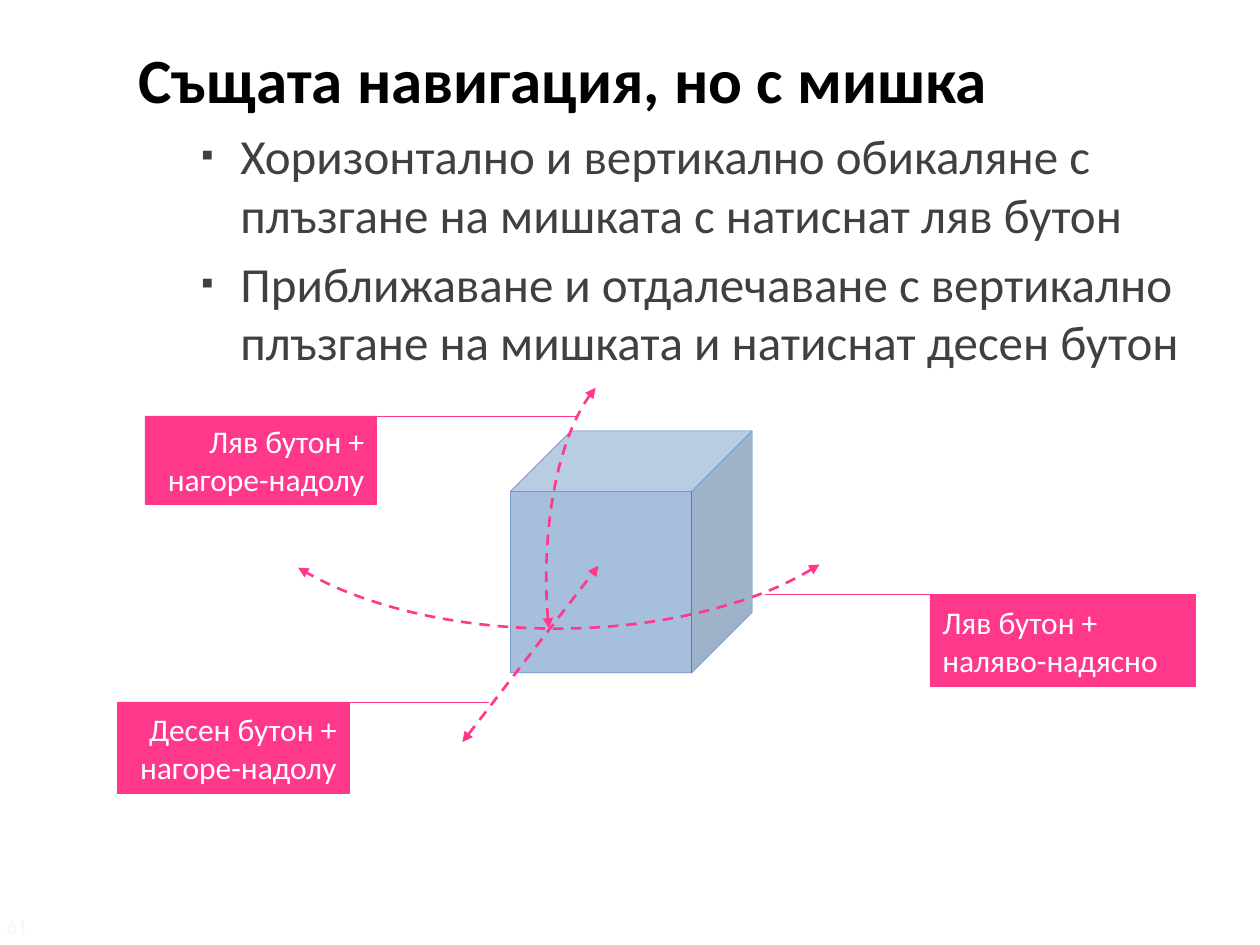
"""Build a slide about navigating around a cube with the mouse."""
from lxml import etree
from pptx import Presentation
from pptx.dml.color import RGBColor
from pptx.enum.dml import MSO_LINE
from pptx.enum.shapes import MSO_CONNECTOR, MSO_SHAPE
from pptx.enum.text import MSO_ANCHOR, PP_ALIGN
from pptx.oxml.ns import qn
from pptx.util import Inches, Pt

DASH = MSO_LINE.DASH
STRAIGHT = MSO_CONNECTOR.STRAIGHT
ARC, CUBE, RECT = MSO_SHAPE.ARC, MSO_SHAPE.CUBE, MSO_SHAPE.RECTANGLE
MIDDLE = MSO_ANCHOR.MIDDLE
LEFT, RIGHT = PP_ALIGN.LEFT, PP_ALIGN.RIGHT

BLACK = RGBColor(0x00, 0x00, 0x00)
GRAY = RGBColor(0x40, 0x40, 0x40)
WHITE = RGBColor(0xFF, 0xFF, 0xFF)
FAINT = RGBColor(0xF8, 0xF8, 0xF2)
PINK = RGBColor(0xFF, 0x38, 0x8C)
BLUE = RGBColor(0x4F, 0x81, 0xBD)


def add_text(p, text, color, **font):
    r = p.add_run()
    r.text = text
    r.font.color.rgb = color
    for name, value in {"name": "Calibri", **font}.items():
        setattr(r.font, name, value)


def style_line(sp, color, width, arrows=False):
    sp.line.color.rgb = color
    sp.line.width = Pt(width)
    if arrows:
        sp.line.dash_style = DASH
        ln = sp.line._get_or_add_ln()
        for end in ("a:headEnd", "a:tailEnd"):
            etree.SubElement(ln, qn(end), type="triangle")
    etree.SubElement(sp._element.spPr, qn("a:effectLst"))


prs = Presentation()
prs.slide_width, prs.slide_height = Inches(10), Inches(7.5)
s = prs.slides.add_slide(prs.slide_layouts[6])

tf = s.shapes.add_textbox(Inches(1), Inches(0.27), Inches(8.92), Inches(7.15)).text_frame
tf.word_wrap = True
add_text(tf.paragraphs[0], "Същата навигация, но с мишка", BLACK, size=Pt(36), bold=True)
for text in (
    "Хоризонтално и вертикално обикаляне с плъзгане на мишката с натиснат ляв бутон",
    "Приближаване и отдалечаване с вертикално плъзгане на мишката и натиснат десен бутон",
):
    p = tf.add_paragraph()
    p.space_before = Pt(5.6)
    pPr = p._p.get_or_add_pPr()
    pPr.set("marL", str(Inches(0.81)))
    pPr.set("indent", str(Inches(-0.31)))
    etree.SubElement(pPr, qn("a:buSzPct"), val="70000")
    etree.SubElement(pPr, qn("a:buFont"), typeface="Calibri")
    etree.SubElement(pPr, qn("a:buChar"), char="▪")
    add_text(p, text, GRAY, size=Pt(28))

callouts = [
    ("Ляв бутон + наляво-надясно", 7.38, 4.72, 2.11, 0.73, LEFT, 9.49, 6.07),
    ("Ляв бутон + нагоре-надолу", 1.15, 3.3, 1.84, 0.7, RIGHT, 1.15, 4.58),
    ("Десен бутон + нагоре-надолу", 0.93, 5.57, 1.84, 0.73, RIGHT, 0.93, 3.88),
]
arcs = [
    (1.76, 2.33, 5.31, 2.66, 0, (12.86, 94.54)),
    (3.36, 3.89, 3.33, 1.38, 90, (35.19, 101.27)),
]

cube = s.shapes.add_shape(CUBE, Inches(4.05), Inches(3.42), Inches(1.92), Inches(1.92))
cube.fill.solid()
cube.fill.fore_color.rgb = BLUE
fill = cube._element.spPr.find(qn("a:solidFill"))
etree.SubElement(fill[0], qn("a:alpha"), val="50000")
style_line(cube, BLUE, 0.25)

for x, y, w, h, rotation, angles in arcs:
    sp = s.shapes.add_shape(ARC, Inches(x), Inches(y), Inches(w), Inches(h))
    sp.rotation = rotation
    sp.adjustments[0], sp.adjustments[1] = angles
    sp.fill.background()
    style_line(sp, PINK, 1.5, arrows=True)

zoom = s.shapes.add_connector(STRAIGHT, Inches(3.67), Inches(5.89), Inches(4.75), Inches(4.49))
style_line(zoom, PINK, 1.5, arrows=True)

for text, x, y, w, h, align, start, end in callouts:
    sp = s.shapes.add_shape(RECT, Inches(x), Inches(y), Inches(w), Inches(h))
    sp.fill.solid()
    sp.fill.fore_color.rgb = PINK
    style_line(sp, PINK, 0.25)
    tf = sp.text_frame
    tf.word_wrap = True
    tf.vertical_anchor = MIDDLE
    p = tf.paragraphs[0]
    p.alignment = align
    add_text(p, text, WHITE, size=Pt(18))
    leader = s.shapes.add_connector(STRAIGHT, Inches(start), Inches(y), Inches(end), Inches(y))
    style_line(leader, PINK, 0.25)

tf = s.shapes.add_textbox(Inches(0), Inches(7.2), Inches(0.6), Inches(0.3)).text_frame
tf.margin_left = Inches(0.05)
tf.vertical_anchor = MIDDLE
add_text(tf.paragraphs[0], "61", FAINT, size=Pt(12))

prs.save("out.pptx")
